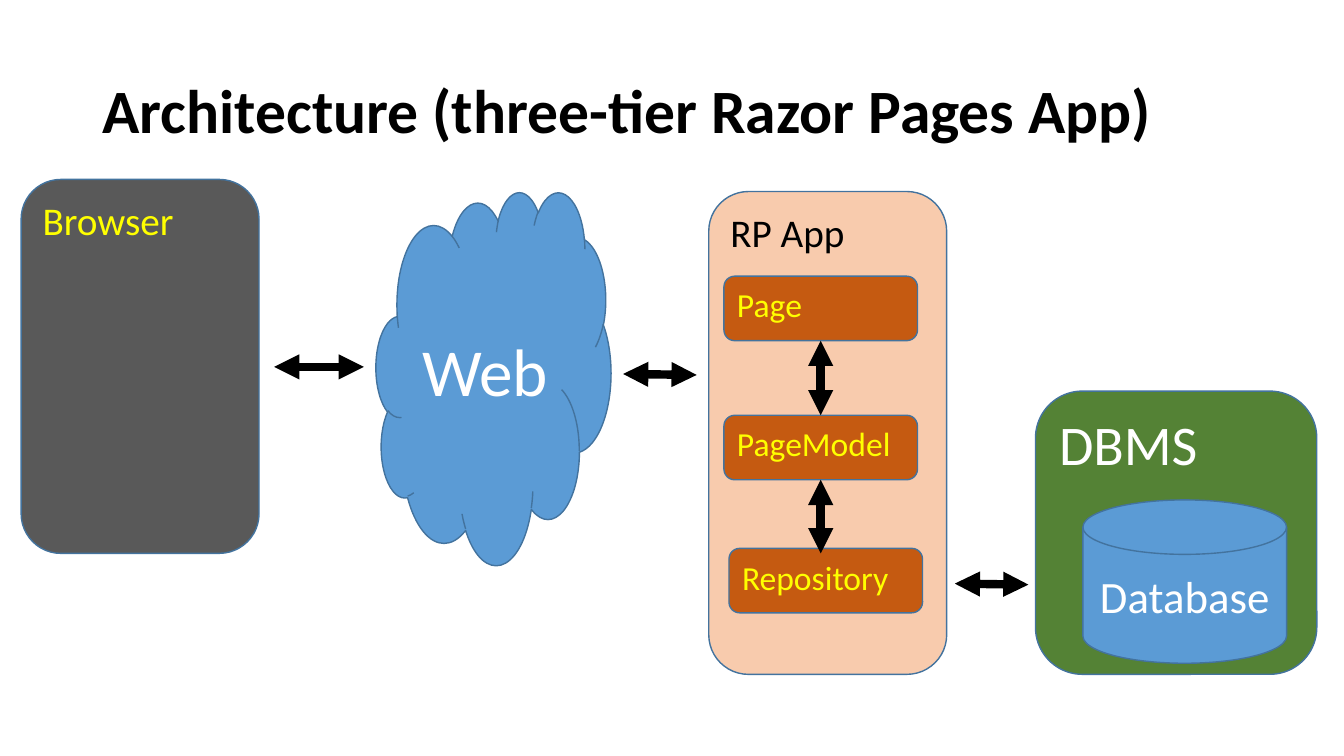
import pptx
import pptx.util
import pptx.dml.color
import pptx.enum.shapes
import pptx.enum.text
import pptx.oxml
import pptx.oxml.ns
from dataclasses import dataclass

PX = 9144  # EMU in one px, 100 px to the inch
SHAPE = pptx.enum.shapes.MSO_SHAPE
ANCHOR = pptx.enum.text.MSO_ANCHOR
ALIGN = pptx.enum.text.PP_ALIGN


@dataclass(frozen=True)
class Theme:
    font: str = "Calibri"
    black: str = "000000"
    white: str = "FFFFFF"
    yellow: str = "FFFF00"
    outline: str = "43739E"
    blue: str = "5B9BD5"
    green: str = "548235"
    grey: str = "595959"
    peach: str = "F8CBAD"
    rust: str = "C55A11"
    title: int = 44
    web: int = 48
    dbms: int = 40
    database: int = 32
    tier: int = 28
    layer: int = 24
    outline_width: int = 1
    arrow_width: int = 6


THEME = Theme()


def rgb(value):
    return pptx.dml.color.RGBColor.from_string(value)


def lengths(*px):
    return [pptx.util.Emu(value * PX) for value in px]


def apply_format(target, values):
    for attribute, value in values.items():
        setattr(target, attribute, value)


def write_label(holder, text, size, color, bold=False, centred=False, middle=False):
    frame = holder.text_frame
    apply_format(frame, {
        "word_wrap": True,
        "vertical_anchor": ANCHOR.MIDDLE if middle else ANCHOR.TOP,
    })
    paragraph = frame.paragraphs[0]
    paragraph.alignment = ALIGN.CENTER if centred else ALIGN.LEFT
    run = paragraph.add_run()
    run.text = text
    apply_format(run.font, {
        "name": THEME.font, "size": pptx.util.Pt(size), "bold": bold,
    })
    run.font.color.rgb = rgb(color)
    return paragraph


def add_title(slide, text, box):
    title = slide.shapes.add_textbox(*lengths(*box))
    paragraph = write_label(title, text, THEME.title, THEME.black,
                            bold=True, middle=True)
    paragraph.line_spacing = 0.9


def add_block(slide, kind, box, fill, text, size, color, centred=False):
    block = slide.shapes.add_shape(kind, *lengths(*box))
    block.shadow.inherit = False
    block.fill.solid()
    block.fill.fore_color.rgb = rgb(fill)
    block.line.color.rgb = rgb(THEME.outline)
    block.line.width = pptx.util.Pt(THEME.outline_width)
    write_label(block, text, size, color, centred=centred, middle=centred)
    return block


def add_double_arrow(slide, start, end):
    arrow = slide.shapes.add_connector(
        pptx.enum.shapes.MSO_CONNECTOR.STRAIGHT, *lengths(*start, *end))
    arrow.line.color.rgb = rgb(THEME.black)
    arrow.line.width = pptx.util.Pt(THEME.arrow_width)
    line_xml = arrow.line._get_or_add_ln()
    for tag in ("a:headEnd", "a:tailEnd"):
        tip = pptx.oxml.parse_xml(f"<{tag} {pptx.oxml.ns.nsdecls('a')} type='triangle'/>")
        line_xml.append(tip)
    no_effect = pptx.oxml.parse_xml(f"<a:effectLst {pptx.oxml.ns.nsdecls('a')}/>")
    arrow._element.spPr.append(no_effect)
    return arrow


def main():
    deck = pptx.Presentation()
    deck.slide_width, deck.slide_height = lengths(1333, 750)
    slide = deck.slides.add_slide(deck.slide_layouts[6])

    add_title(slide, "Architecture (three-tier Razor Pages App)", (92, 40, 1150, 145))

    # Data tier and the web
    add_block(slide, SHAPE.ROUNDED_RECTANGLE, (1027, 388, 279, 281),
              THEME.green, "DBMS", THEME.dbms, THEME.white)
    add_block(slide, SHAPE.FLOWCHART_MAGNETIC_DISK, (1074, 496, 202, 162),
              THEME.blue, "Database", THEME.database, THEME.white, centred=True)
    add_block(slide, SHAPE.CLOUD, (373, 190, 233, 370),
              THEME.blue, "Web", THEME.web, THEME.white, centred=True)

    # Traffic between the tiers
    for start, end in (((618, 371), (691, 372)),
                       ((947, 579), (1020, 580)),
                       ((272, 364), (361, 364))):
        add_double_arrow(slide, start, end)

    # Browser and application tiers
    add_block(slide, SHAPE.ROUNDED_RECTANGLE, (21, 178, 236, 371),
              THEME.grey, "Browser", THEME.tier, THEME.yellow)
    add_block(slide, SHAPE.ROUNDED_RECTANGLE, (703, 190, 236, 479),
              THEME.peach, "RP App", THEME.tier, THEME.black)

    # Layers inside the application
    layers = {}
    for name, left, top in (("Repository", 723, 544),
                            ("Page", 718, 274),
                            ("PageModel", 718, 412)):
        layers[name] = add_block(slide, SHAPE.ROUNDED_RECTANGLE, (left, top, 192, 64),
                                 THEME.rust, name, THEME.layer, THEME.yellow)

    # Calls between the layers
    page_link = add_double_arrow(slide, (814, 412), (814, 338))
    page_link.begin_connect(layers["PageModel"], 0)
    page_link.end_connect(layers["Page"], 2)
    repository_link = add_double_arrow(slide, (814, 549), (814, 476))
    repository_link.end_connect(layers["PageModel"], 2)

    deck.save("out.pptx")


if __name__ == "__main__":
    main()
